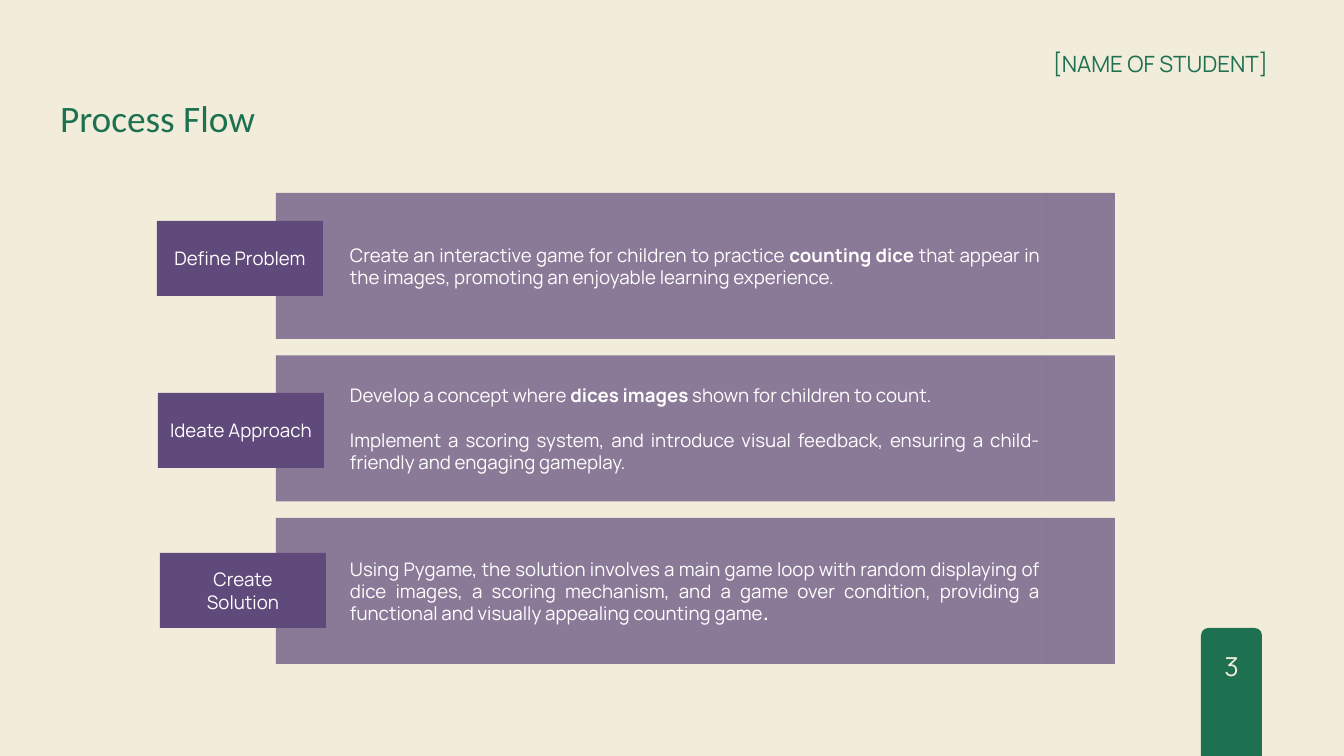
from lxml.etree import SubElement
from pptx import Presentation
from pptx.dml.color import RGBColor
from pptx.enum.shapes import MSO_SHAPE
from pptx.enum.text import MSO_ANCHOR, MSO_AUTO_SIZE, PP_ALIGN
from pptx.oxml.ns import qn
from pptx.util import Inches, Pt

PX = Inches(20) / 1344
CREAM, GREEN, PURPLE, WHITE = "F2EDDB", "1D7151", "604A7B", "FFFFFF"


def write(frame, paragraphs, size=20, font="Manrope", color=WHITE,
          align=PP_ALIGN.CENTER, anchor=MSO_ANCHOR.MIDDLE, line=None,
          gap=0, margins=(7, 3, 7, 3)):
    """Fill a text frame; every second part of a paragraph, split at |, is bold."""
    frame.word_wrap = True
    frame.auto_size = MSO_AUTO_SIZE.NONE
    frame.vertical_anchor = anchor
    (frame.margin_left, frame.margin_top,
     frame.margin_right, frame.margin_bottom) = [round(m * PX) for m in margins]
    for i, text in enumerate(paragraphs):
        paragraph = frame.add_paragraph() if i else frame.paragraphs[0]
        paragraph.alignment = align
        paragraph.space_before = Pt(gap if i else 0)
        if line:
            paragraph.line_spacing = Pt(line)
        for j, part in enumerate(text.split("|")):
            run = paragraph.add_run()
            run.text = part
            run.font.size = Pt(size)
            run.font.name = font
            run.font.bold = j % 2 == 1
            run.font.color.rgb = RGBColor.from_string(color)


def add_block(box, color, kind=MSO_SHAPE.RECTANGLE, opacity=100):
    block = slide.shapes.add_shape(kind, *[round(v * PX) for v in box])
    block.shadow.inherit = False
    block.line.fill.background()
    block.fill.solid()
    block.fill.fore_color.rgb = RGBColor.from_string(color)
    if opacity < 100:
        srgb = block.fill._xPr.find(qn("a:solidFill"))[0]
        SubElement(srgb, qn("a:alpha")).set("val", str(opacity * 1000))
    return block


prs = Presentation()
prs.slide_width, prs.slide_height = round(1344 * PX), round(756 * PX)
slide = prs.slides.add_slide(prs.slide_layouts[5])
slide.background.fill.solid()
slide.background.fill.fore_color.rgb = RGBColor.from_string(CREAM)

# Page number tab
tab = add_block((1201, 628, 61, 128), GREEN, MSO_SHAPE.ROUND_2_SAME_RECTANGLE)
tab.adjustments[0] = 0.12
page_number = slide.shapes.add_textbox(*[round(v * PX) for v in (1218, 645, 27, 36)])
write(page_number.text_frame, ["3"], size=28, color=CREAM, line=39.2,
      anchor=MSO_ANCHOR.TOP, margins=(0, 0, 0, 0))

# Title and student name
title = slide.shapes.title
title.left, title.top, title.width, title.height = [
    round(v * PX) for v in (60, 88, 511, 51)]
write(title.text_frame, ["Process Flow"], size=40, font="Calibri", color=GREEN,
      align=PP_ALIGN.LEFT, anchor=MSO_ANCHOR.TOP, line=56, margins=(0, 0, 0, 0))
student = slide.shapes.add_textbox(*[round(v * PX) for v in (1007, 46, 261, 30)])
write(student.text_frame, ["[NAME OF STUDENT]"], size=24, color=GREEN,
      align=PP_ALIGN.RIGHT, anchor=MSO_ANCHOR.TOP, line=33.6, margins=(0, 0, 0, 0))

# Steps: label position, label lines, description paragraphs
steps = [
    (157, 221, ["Define Problem"],
     ["Create an interactive game for children to practice| counting dice| that "
      "appear in the images, promoting an enjoyable learning experience."]),
    (158, 393, ["Ideate Approach"],
     ["Develop a concept where |dices images |shown for children to count.",
      "Implement a scoring system, and introduce visual feedback, ensuring a "
      "child-friendly and engaging gameplay."]),
    (160, 553, ["Create", "Solution"],
     ["Using Pygame, the solution involves a main game loop with random displaying "
      "of dice images, a scoring mechanism, and a game over condition, providing a "
      "functional and visually appealing counting game|."]),
]
for row, (label_x, label_y, label_lines, description) in enumerate(steps):
    top = 193 + row * 162.5
    panel = add_block((276, top, 771, 146), PURPLE, opacity=70)
    write(panel.text_frame, description, align=PP_ALIGN.JUSTIFY, gap=24,
          margins=(74, 3, 7, 3))
    add_block((1047, top, 68, 146), PURPLE, opacity=70)
    label = add_block((label_x, label_y, 166, 75), PURPLE)
    write(label.text_frame, label_lines)

prs.save("out.pptx")
